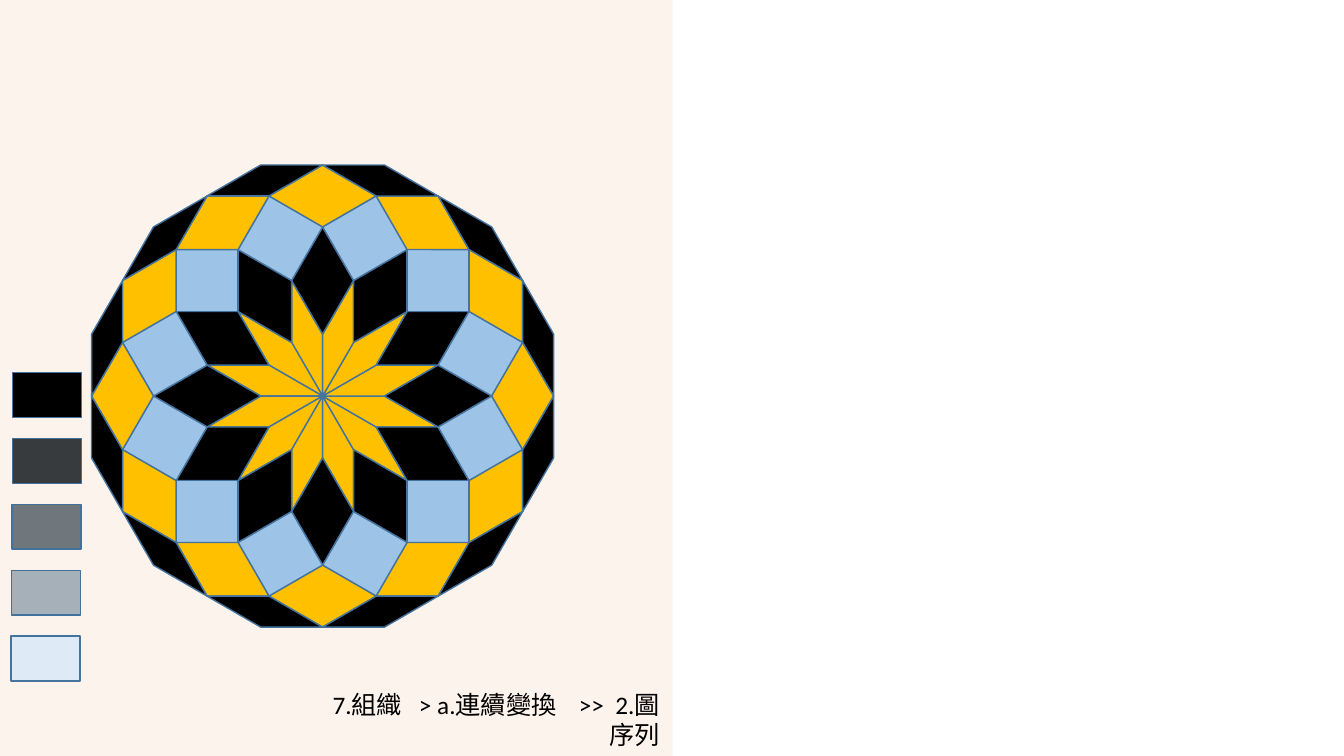
from math import cos, radians, sin

from lxml import etree
from pptx import Presentation, util as u
from pptx.dml.color import RGBColor
from pptx.enum import shapes, text
from pptx.oxml.ns import qn

COLORS = {
    "black": "000000",
    "charcoal": "383B3E",
    "slate": "6F767C",
    "silver": "A6B0B9",
    "pale blue": "DEEBF7",
    "gold": "FFC000",
    "sky": "9DC3E6",
    "outline": "43739E",
    "swatch outline": "41719C",
    "peach": "F4B183",
    "divider": "FBE5D6",
}
SWATCHES = [
    ("black", "outline", 0.32),
    ("charcoal", "swatch outline", 0.31),
    ("slate", "swatch outline", 0.3),
    ("silver", "swatch outline", 0.29),
    ("pale blue", "outline", 0.28),
]
RING_COLORS = ["gold", "black", "sky", "gold", "black"]
BREADCRUMB = [
    ("7.組織", 0),
    (" ", 8),
    ("> a.連續變換", 0),
    (" ", 12),
    (">>", 0),
    (" ", 4),
    ("2.圖序列", 0),
]

SLIDE_WIDTH, SLIDE_HEIGHT = u.Cm(33.87), u.Cm(19.05)
PANEL_WIDTH = u.Cm(16.94)
SECTORS = 12
TURN = 360 / SECTORS
EDGE = u.Cm(1.56)
CENTER_X, CENTER_Y = u.Cm(8.13), u.Cm(9.98)
SWATCH_TOP, SWATCH_STEP = 9.39, 1.66


def rgb(name):
    return RGBColor.from_string(COLORS[name])


def paint(shape, fill, line=None):
    shape.shadow.inherit = False
    shape.fill.solid()
    shape.fill.fore_color.rgb = rgb(fill)
    if line:
        shape.line.color.rgb = rgb(line)
        shape.line.width = u.Pt(1)
    else:
        shape.line.fill.background()


def set_opacity(properties, percent):
    color = properties.find(".//" + qn("a:srgbClr"))
    etree.SubElement(color, qn("a:alpha"), val=str(percent * 1000))


def vertex(start, steps):
    angles = [radians(TURN * (start + step)) for step in range(steps)]
    x = CENTER_X - EDGE * sum(sin(angle) for angle in angles)
    y = CENTER_Y - EDGE * sum(cos(angle) for angle in angles)
    return x, y


def rhombus(ring, sector):
    start = sector - ring // 2
    return [vertex(start, ring), vertex(start + 1, ring - 1),
            vertex(start + 1, ring), vertex(start, ring + 1)]


def middle(corners):
    return [(first + opposite) / 2
            for first, opposite in zip(corners[0], corners[2])]


def add_panel(slide):
    panel = slide.shapes.add_shape(
        shapes.MSO_SHAPE.RECTANGLE, 0, 0, PANEL_WIDTH, SLIDE_HEIGHT)
    paint(panel, "peach")
    set_opacity(panel._element.spPr, 14)
    divider = slide.shapes.add_connector(
        shapes.MSO_CONNECTOR.STRAIGHT, PANEL_WIDTH, SLIDE_HEIGHT, PANEL_WIDTH, 0)
    divider.line.color.rgb = rgb("divider")
    divider.line.width = u.Pt(0.25)
    set_opacity(divider._element.spPr, 50)
    etree.SubElement(divider._element.spPr, qn("a:effectLst"))


def add_swatches(slide):
    for index, (fill, line, left) in enumerate(SWATCHES):
        swatch = slide.shapes.add_shape(
            shapes.MSO_SHAPE.RECTANGLE, u.Cm(left),
            u.Cm(SWATCH_TOP + index * SWATCH_STEP), u.Cm(1.74), u.Cm(1.13))
        paint(swatch, fill, line)


def add_breadcrumb(slide):
    breadcrumb = slide.shapes.add_shape(
        shapes.MSO_SHAPE.ROUNDED_RECTANGLE,
        u.Cm(6.68), u.Cm(17.55), u.Cm(10.25), u.Cm(1.14))
    breadcrumb.shadow.inherit = False
    breadcrumb.fill.background()
    breadcrumb.line.fill.background()
    frame = breadcrumb.text_frame
    frame.word_wrap = True
    frame.margin_left = u.Cm(0.6)
    frame.vertical_anchor = text.MSO_ANCHOR.MIDDLE
    paragraph = frame.paragraphs[0]
    paragraph.alignment = text.PP_ALIGN.RIGHT
    for content, spacing in BREADCRUMB:
        run = paragraph.add_run()
        run.text = content
        run.font.name = "Calibri"
        run.font.size = u.Pt(18)
        run.font.color.rgb = rgb("black")
        if spacing:
            run.font._element.set("spc", str(spacing * 100))
        if content == BREADCRUMB[-1][0]:
            run.text = "2.圖"
            paragraph.add_line_break()
            ending = paragraph.add_run()
            ending.text = "序列"
            ending.font.name = "Calibri"
            ending.font.size = u.Pt(18)
            ending.font.color.rgb = rgb("black")


def add_rosette(slide):
    for ring, color in enumerate(RING_COLORS, start=1):
        group = slide.shapes.add_group_shape()
        upright = rhombus(ring, 0)
        upright_x, upright_y = middle(upright)
        for sector in range(SECTORS):
            x, y = middle(rhombus(ring, sector))
            corners = [(round(corner_x + x - upright_x), round(corner_y + y - upright_y))
                       for corner_x, corner_y in upright]
            builder = group.shapes.build_freeform(*corners[0])
            builder.add_line_segments(corners[1:], close=True)
            tile = builder.convert_to_shape()
            tile.rotation = -TURN * sector % 360
            paint(tile, color, "outline")


def main():
    presentation = Presentation()
    presentation.slide_width = SLIDE_WIDTH
    presentation.slide_height = SLIDE_HEIGHT
    slide = presentation.slides.add_slide(presentation.slide_layouts[6])
    add_panel(slide)
    add_swatches(slide)
    add_breadcrumb(slide)
    add_rosette(slide)
    presentation.save("out.pptx")


if __name__ == "__main__":
    main()
